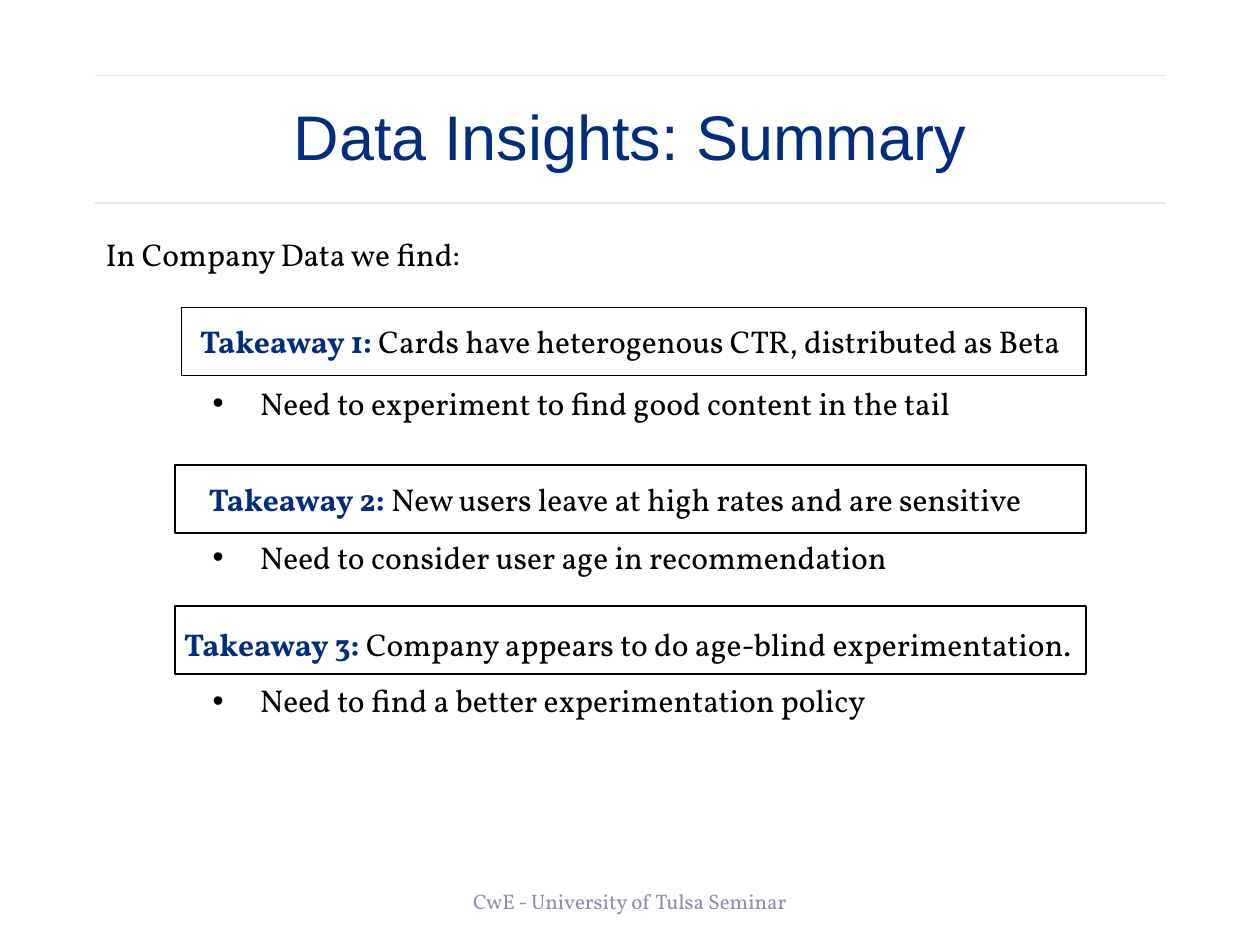
"""Build the Data Insights summary slide on a grid of 100 columns by 75 rows."""
from lxml import etree
from pptx import Presentation
from pptx.dml.color import RGBColor
from pptx.enum.shapes import MSO_CONNECTOR, MSO_SHAPE
from pptx.enum.text import MSO_ANCHOR, PP_ALIGN
from pptx.oxml.ns import qn
from pptx.util import Inches, Pt

LEFT, CENTER = PP_ALIGN.LEFT, PP_ALIGN.CENTER
TOP, MIDDLE = MSO_ANCHOR.TOP, MSO_ANCHOR.MIDDLE
RECTANGLE, STRAIGHT = MSO_SHAPE.RECTANGLE, MSO_CONNECTOR.STRAIGHT
NAVY, BLACK, MUTED, RULE = "002D80", "000000", "8C8FAC", "E7E6E6"

presentation = Presentation()
presentation.slide_width, presentation.slide_height = Inches(10), Inches(7.5)
slide = presentation.slides.add_slide(presentation.slide_layouts[6])
column = presentation.slide_width / 100
row = presentation.slide_height / 75


def color(value):
    return RGBColor.from_string(value)


def add_text(left, top, width, height, runs, size=18, font="Vollkorn",
             align=LEFT, anchor=TOP, after=6, bullet=False):
    """Add a one-paragraph text box; runs are (text, colour, bold)."""
    shape = slide.shapes.add_textbox(
        int(left * column), int(top * row), int(width * column), int(height * row))
    frame = shape.text_frame
    frame.word_wrap = True
    frame.vertical_anchor = anchor
    paragraph = frame.paragraphs[0]
    if bullet:
        properties = paragraph._p.get_or_add_pPr()
        indent = int(3.75 * column)
        properties.set("marL", str(indent))
        properties.set("indent", str(-indent))
        etree.SubElement(properties, qn("a:buFont")).set("typeface", "Arial")
        etree.SubElement(properties, qn("a:buChar")).set("char", "•")
    paragraph.alignment = align
    paragraph.space_after = Pt(after)
    paragraph.font.size = Pt(size)
    paragraph.font.name = font
    for text, run_color, bold in runs:
        run = paragraph.add_run()
        run.text = text
        run.font.bold = bold
        run.font.color.rgb = color(run_color)
    return paragraph


for rule_row in (6, 16.1):
    rule = slide.shapes.add_connector(
        STRAIGHT, int(7.5 * column), int(rule_row * row),
        int(92.5 * column), int(rule_row * row))
    rule.line.color.rgb = color(RULE)
    rule.line.width = Pt(1)
    etree.SubElement(rule._element.spPr, qn("a:effectLst"))

title = add_text(4.95, 3.9, 90.1, 14.5, [("Data Insights: Summary", NAVY, False)],
                 size=36, font="Arial", align=CENTER, anchor=MIDDLE, after=0)
title.line_spacing = 0.9
add_text(29.4, 69.5, 41.2, 4, [("CwE - University of Tulsa Seminar", MUTED, False)],
         size=12, align=CENTER, anchor=MIDDLE, after=0)
add_text(7.4, 18.2, 85.7, 4, [("In Company Data we find:", BLACK, False)])

takeaways = [
    (14.4, 24.4, 6.2, 25.1, 30, "Cards have heterogenous CTR, distributed as Beta",
     "Need to experiment to find good content in the tail"),
    (13.9, 36.9, 5, 37.6, 42.2, "New users leave at high rates and are sensitive",
     "Need to consider user age in recommendation"),
    (13.9, 48.1, 6, 49.1, 53.6, "Company appears to do age-blind experimentation.",
     "Need to find a better experimentation policy"),
]
for number, takeaway in enumerate(takeaways, start=1):
    frame_left, frame_top, text_left, text_top, need_top, finding, need = takeaway
    add_text(text_left, text_top, 87.6, 7.9,
             [(f"Takeaway {number}: ", NAVY, True), (finding, BLACK, False)], align=CENTER)
    outline = slide.shapes.add_shape(
        RECTANGLE, int(frame_left * column), int(frame_top * row),
        int((86.2 - frame_left) * column), int(5.4 * row))
    outline.shadow.inherit = False
    outline.fill.background()
    outline.line.color.rgb = color(BLACK)
    outline.line.width = Pt(1)
    add_text(15.9, need_top, 67.3, 4, [(need, BLACK, False)], bullet=True)

presentation.save("out.pptx")
